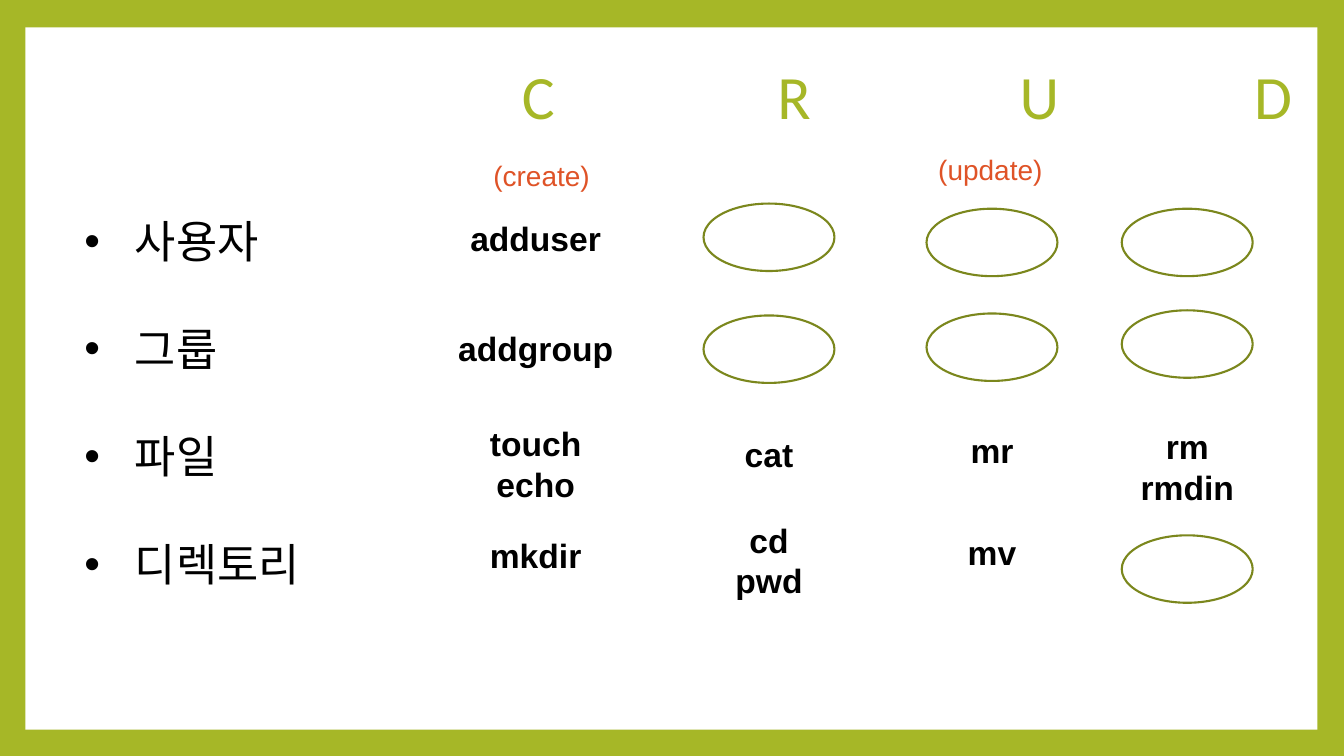
from pptx import Presentation
from pptx.dml.color import RGBColor
from pptx.enum.shapes import MSO_SHAPE
from pptx.enum.text import MSO_ANCHOR, MSO_AUTO_SIZE, PP_ALIGN
from pptx.oxml.ns import qn
from pptx.util import Cm, Pt
from lxml.etree import SubElement

GREEN, OLIVE, ORANGE = "A6B727", "7B871D", "DF5327"
WHITE, BLACK = "FFFFFF", "000000"


def tint(code):
    return RGBColor.from_string(code)


class Page:
    body, head = "Arial", "Calibri"

    def __init__(self, deck):
        self.slide = deck.slides.add_slide(deck.slide_layouts[5])
        fill = self.slide.background.fill
        fill.solid()
        fill.fore_color.rgb = tint(GREEN)

    def style(self, para, size, color, face, bold=False):
        font = para.font
        font.size, font.name, font.bold = Pt(size), face, bold
        font.color.rgb = tint(color)

    def shape(self, kind, left, top, width, height, fill=None, line=None):
        item = self.slide.shapes.add_shape(
            kind, Cm(left), Cm(top), Cm(width), Cm(height))
        item.shadow.inherit = False
        if fill:
            item.fill.solid()
            item.fill.fore_color.rgb = tint(fill)
        else:
            item.fill.background()
        if line:
            item.line.color.rgb = tint(line)
            item.line.width = Pt(1.5)
        else:
            item.line.fill.background()
        return item

    def title(self, marks, stops, left, top, width, height):
        item = self.slide.shapes.title
        item.left, item.top = Cm(left), Cm(top)
        item.width, item.height = Cm(width), Cm(height)
        frame = item.text_frame
        frame.auto_size = MSO_AUTO_SIZE.NONE
        frame.vertical_anchor = MSO_ANCHOR.MIDDLE
        frame.text = "".join("\t" + mark for mark in marks)
        para = frame.paragraphs[0]
        para.alignment, para.line_spacing = PP_ALIGN.LEFT, 0.9
        tabs = SubElement(para._p.get_or_add_pPr(), qn("a:tabLst"))
        for stop in stops:
            SubElement(tabs, qn("a:tab"), pos=str(Cm(stop)), algn="ctr")
        self.style(para, 44, GREEN, self.head)

    def box(self, lines, left, top, width, height):
        item = self.slide.shapes.add_textbox(
            Cm(left), Cm(top), Cm(width), Cm(height))
        frame = item.text_frame
        frame.word_wrap = True
        frame.text = "\n".join(lines)
        return frame.paragraphs

    def label(self, lines, mid, top, size=24, color=BLACK, bold=True):
        width, height = 7.44, 0.25 + len(lines) * size * 0.0425
        for para in self.box(lines, mid - width / 2, top, width, height):
            para.alignment = PP_ALIGN.CENTER
            self.style(para, size, color, self.body, bold)

    def bullets(self, lines, left, top, width, height):
        for para in self.box(lines, left, top, width, height):
            para.space_after = Pt(38.5)
            props = para._p.get_or_add_pPr()
            props.set("marL", str(Cm(1.27)))
            props.set("indent", str(Cm(-1.27)))
            SubElement(props, qn("a:buFont"), typeface=self.body)
            SubElement(props, qn("a:buChar"), char="•")
            self.style(para, 32, BLACK, self.head)


deck = Presentation()
deck.slide_width, deck.slide_height = Cm(33.87), Cm(19.05)
page = Page(deck)

panel = page.shape(MSO_SHAPE.RECTANGLE, 0.64, 0.69, 32.56, 17.7, fill=WHITE)
tree = page.slide.shapes._spTree
tree.remove(panel._element)
tree.insert(2, panel._element)

page.title("CRUD", (1.47, 7.92, 14.1, 19.99), 11.84, 1.14, 21.08, 2.72)
page.bullets(("사용자", "그룹", "파일", "디렉토리"), 1.88, 5.26, 6.96, 9.83)

create, read, update, delete = 13.5, 19.38, 25, 29.92
for mid, tops in ((read, (5.13, 7.95)), (update, (5.26, 7.9)),
                  (delete, (5.26, 7.82, 13.49))):
    for top in tops:
        page.shape(MSO_SHAPE.OVAL, mid - 1.65, top, 3.3, 1.7, line=OLIVE)

for text, mid, top in (("(create)", 13.65, 3.86), ("(update)", 24.96, 3.73)):
    page.label([text], mid, top, 20, ORANGE, False)

for words, mid, top in (
        ("adduser", create, 5.36), ("addgroup", create, 8.13),
        ("touch echo", create, 10.54), ("mkdir", create, 13.36),
        ("cat", read, 10.8), ("cd pwd", read, 12.98),
        ("mr", update, 10.72), ("mv", update, 13.28),
        ("rm rmdin", delete, 10.62)):
    page.label(words.split(), mid, top)

deck.save("out.pptx")
